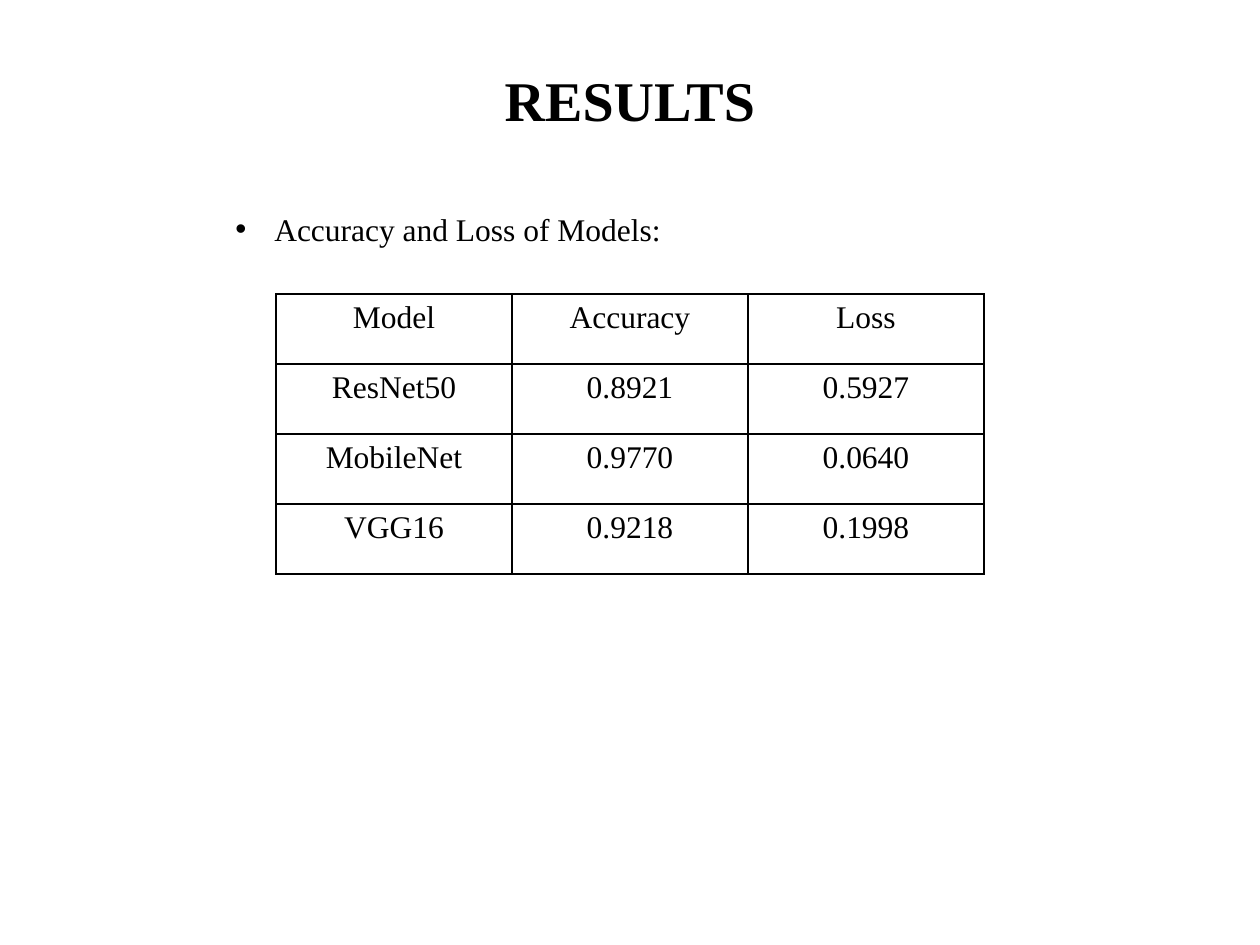
from dataclasses import dataclass

from pptx import Presentation, util as u
from pptx.dml.color import RGBColor
from pptx.enum import text as t
from pptx.oxml import parse_xml
from pptx.oxml.ns import nsdecls


@dataclass(frozen=True)
class Theme:
    font: str = "Times New Roman"
    ink: str = "000000"
    paper: str = "FFFFFF"
    head: int = 32
    body: int = 18
    rule: int = 1


@dataclass(frozen=True)
class Box:
    left: int
    top: int
    width: int
    height: int


THEME = Theme()
SCALE = 914400 / 126
ROWS = [
    ("Model", "Accuracy", "Loss"),
    ("ResNet50", "0.8921", "0.5927"),
    ("MobileNet", "0.9770", "0.0640"),
    ("VGG16", "0.9218", "0.1998"),
]


def px(n: int) -> u.Emu:
    return u.Emu(round(n * SCALE))


def place(box: Box) -> tuple[u.Emu, ...]:
    return px(box.left), px(box.top), px(box.width), px(box.height)


def write(frame, words: str, *, size: int = THEME.body, bold: bool = False,
          align=t.PP_ALIGN.CENTER):
    para = frame.paragraphs[0]
    para.alignment = align
    run = para.add_run()
    run.text = words
    run.font.name = THEME.font
    run.font.size = u.Pt(size)
    run.font.bold = bold
    run.font.color.rgb = RGBColor.from_string(THEME.ink)
    return para


def add_text(slide, box: Box, words: str, anchor, **style):
    frame = slide.shapes.add_textbox(*place(box)).text_frame
    frame.word_wrap = True
    frame.vertical_anchor = anchor
    return write(frame, words, **style)


def add_bullet(para, indent: int) -> None:
    props = para._p.get_or_add_pPr()
    props.set("marL", str(px(indent)))
    props.set("indent", str(-px(indent)))
    for tag in ('buFont typeface="Arial"', 'buChar char="•"'):
        props.append(parse_xml(f"<a:{tag} {nsdecls('a')}/>"))


def add_edges(cell) -> None:
    props = cell._tc.get_or_add_tcPr()
    for spot, side in enumerate("LRTB"):
        props.insert(spot, parse_xml(
            f'<a:ln{side} {nsdecls("a")} w="{u.Pt(THEME.rule)}">'
            f'<a:solidFill><a:srgbClr val="{THEME.ink}"/></a:solidFill>'
            f'</a:ln{side}>'))


def add_grid(slide, box: Box, rows: list[tuple[str, ...]]) -> None:
    grid = slide.shapes.add_table(len(rows), len(rows[0]), *place(box)).table
    grid.first_row = grid.horz_banding = False
    for col in grid.columns:
        col.width = px(box.width // len(rows[0]))
    for r, row in enumerate(rows):
        grid.rows[r].height = px(box.height // len(rows))
        for c, words in enumerate(row):
            cell = grid.cell(r, c)
            cell.fill.solid()
            cell.fill.fore_color.rgb = RGBColor.from_string(THEME.paper)
            add_edges(cell)
            write(cell.text_frame, words)


def main() -> None:
    deck = Presentation()
    deck.slide_width, deck.slide_height = px(1260), px(945)
    slide = deck.slides.add_slide(deck.slide_layouts[6])
    add_text(slide, Box(63, 20, 1134, 158), "RESULTS", t.MSO_ANCHOR.MIDDLE,
             size=THEME.head, bold=True)
    add_grid(slide, Box(276, 294, 708, 280), ROWS)
    note = add_text(slide, Box(223, 165, 566, 89), "Accuracy and Loss of Models:",
                    t.MSO_ANCHOR.BOTTOM, align=t.PP_ALIGN.LEFT)
    add_bullet(note, 39)
    deck.save("out.pptx")


if __name__ == "__main__":
    main()
